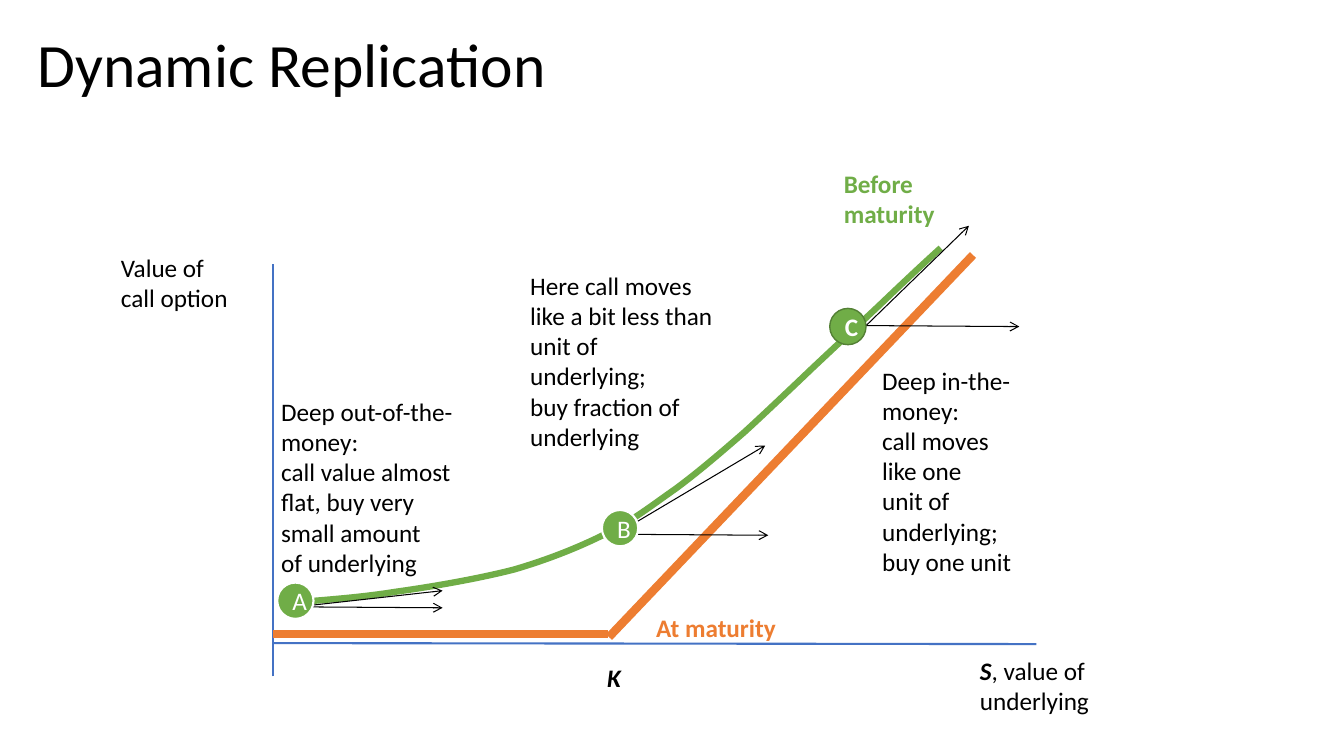
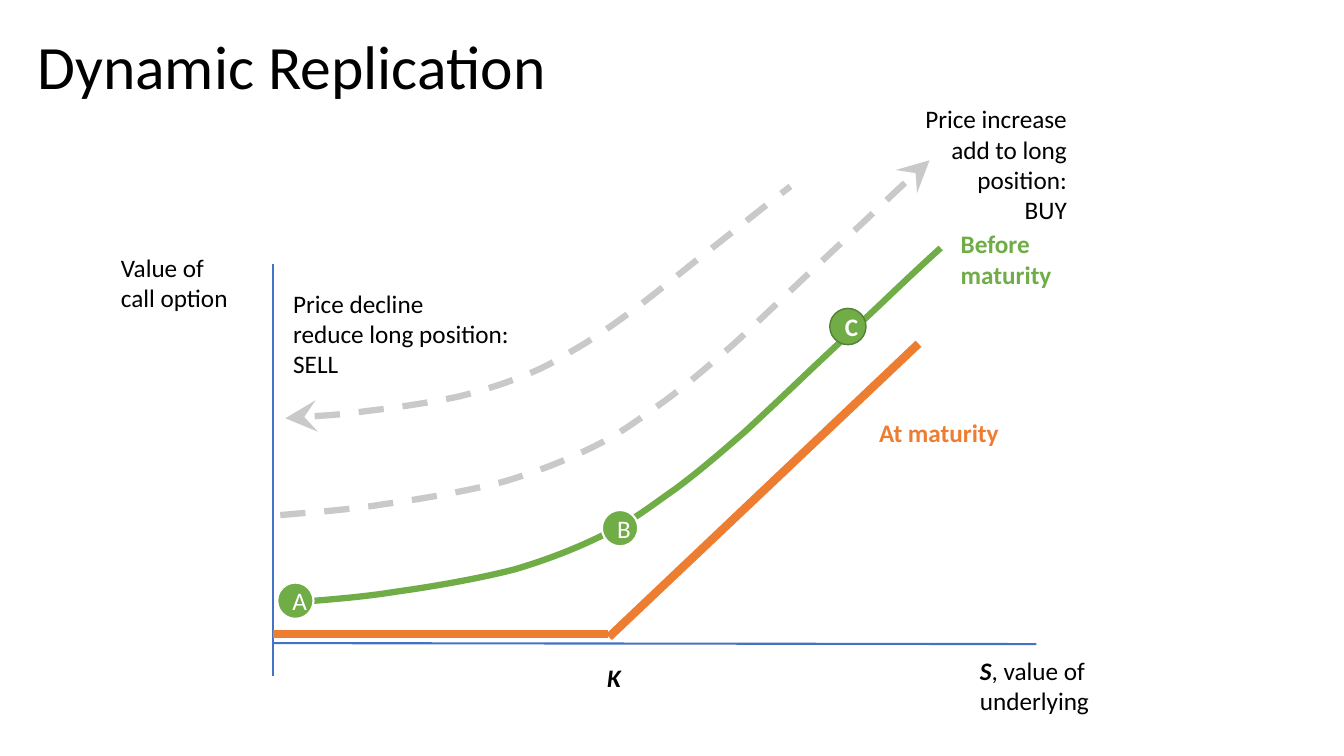
from lxml import etree
from pptx import Presentation
from pptx.dml.color import RGBColor
from pptx.enum import dml, shapes, text
from pptx.oxml.ns import qn
from pptx.util import Inches, Pt

HUES = {"ink": "000000", "paper": "FFFFFF", "axis": "4472C4", "pay": "ED7D31",
        "call": "70AD47", "rim": "538035", "path": "C9C9C9"}
FONT = "Calibri"
PLOT = (2.7, 2.6, 7.58, 3.78)  # left, top, width, height of the axes
SPAN = (6.44, 3.52)            # natural size of the call curve
START = (0, 3.52)
# Pieces of the curve: control points, if any, then the end point
BENDS = [
    ((0.33, 3.49), (0.67, 3.47), (1.04, 3.41)),
    ((1.4, 3.36), (1.86, 3.28), (2.21, 3.19)),
    ((2.55, 3.09), (2.85, 2.97), (3.11, 2.84)),
    ((3.38, 2.71), (3.58, 2.55), (3.81, 2.39)),
    ((4.04, 2.22), (4.26, 2.03), (4.49, 1.83)),
    ((4.71, 1.63), (5.17, 1.19), (5.17, 1.19)),
    ((5.82, 0.58),),
    ((6.03, 0.38), (6.23, 0.19), (6.44, 0)),
]


def hue(name):
    return RGBColor.from_string(HUES[name])


def write(frame, words, size=18, color="ink", bold=False, align="LEFT", lead=None):
    """Fill a frame, one paragraph a line; *starred* words are bold italic."""
    for i, row in enumerate(words.split("\n")):
        para = frame.paragraphs[0] if i == 0 else frame.add_paragraph()
        para.alignment = getattr(text.PP_ALIGN, align)
        para.line_spacing = lead
        for j, part in enumerate(row.split("*")):
            if part:
                run = para.add_run()
                run.text = part
                font = run.font
                font.name, font.size = FONT, Pt(size)
                font.color.rgb = hue(color)
                font.bold, font.italic = bold or j % 2 == 1, j % 2 == 1


def label(slide, base, spot, words, wrap=False, **style):
    x, y, w, h = spot
    box = slide.shapes.add_textbox(
        Inches(base[0] + x), Inches(base[1] + y), Inches(w), Inches(h))
    frame = box.text_frame
    frame.word_wrap = wrap
    frame.auto_size = text.MSO_AUTO_SIZE.SHAPE_TO_FIT_TEXT
    write(frame, words, **style)


def stroke(shape, color, width, head=None, tail=None, dash=None, size="med"):
    shape.line.color.rgb = hue(color)
    shape.line.width = Pt(width)
    if dash:
        shape.line.dash_style = dash
    line = shape._element.spPr.find(qn("a:ln"))
    for tag, kind in (("a:headEnd", head), ("a:tailEnd", tail)):
        if kind:
            etree.SubElement(line, qn(tag), type=kind, w=size, len=size)


def rule(slide, base, ends, color, width, **tips):
    x, y = base[:2]
    x1, y1, x2, y2 = ends
    line = slide.shapes.add_connector(
        shapes.MSO_CONNECTOR.STRAIGHT,
        Inches(x + x1), Inches(y + y1), Inches(x + x2), Inches(y + y2))
    stroke(line, color, width, **tips)
    etree.SubElement(line._element.spPr, qn("a:effectLst"))


def curve(slide, base, spot, color="call", **tips):
    """Draw the bends, scaled to the spot."""
    x, y, w, h = spot

    def fit(dot):
        return Inches(dot[0] * w / SPAN[0]), Inches(dot[1] * h / SPAN[1])

    pen = slide.shapes.build_freeform(*fit(START))
    pen.add_line_segments([fit(bend[-1]) for bend in BENDS], close=False)
    shape = pen.convert_to_shape(Inches(base[0] + x), Inches(base[1] + y))
    # Turn straight pieces into cubic ones
    for leg, bend in zip(list(shape._element.iter(qn("a:lnTo"))), BENDS):
        if len(bend) == 3:
            leg.tag = qn("a:cubicBezTo")
            for i, dot in enumerate(bend[:2]):
                px, py = fit(dot)
                leg.insert(i, leg.makeelement(qn("a:pt"), x=str(int(px)), y=str(int(py))))
    shape.shadow.inherit = False
    shape.fill.background()
    stroke(shape, color, 4.5, **tips)


def title(slide, top):
    head = slide.shapes.title
    head.left, head.top = Inches(0), Inches(top)
    head.width, head.height = Inches(11.5), Inches(1.29)
    frame = head.text_frame
    frame.margin_left = Inches(0.37)
    frame.vertical_anchor = text.MSO_ANCHOR.MIDDLE
    frame.auto_size = text.MSO_AUTO_SIZE.NONE
    write(frame, "Dynamic Replication", size=44, lead=0.9)


def plot(slide, box, end, due, early):
    """Axes, payoff up to end, call curve, and the two line names."""
    w, h = box[2:]
    rule(slide, box, (0.01, h, w, h + 0.01), "axis", 1.5)
    rule(slide, box, (0.01, h + 0.33, 0.01, 0.02), "axis", 1.5)
    label(slide, box, (-1.6, -0.15, 1.28, 0.71), "Value of\ncall option")
    rule(slide, box, (0.01, h - 0.09, 3.33, h - 0.09), "pay", 6)
    rule(slide, box, (3.34, h - 0.06, *end), "pay", 6)
    label(slide, box, (3.22, h + 0.14, 0.34, 0.4), "*K*", align="CENTER")
    label(slide, box, (6.92, h + 0.07, 1.31, 0.71), "*S*, value of\nunderlying")
    curve(slide, box, (0.19, -0.14, *SPAN))
    label(slide, box, (*due, 1.4, 0.4), "At maturity", color="pay", bold=True)
    label(slide, box, (*early, 1.11, 0.71), "Before\nmaturity", color="call", bold=True)


def marks(slide, box):
    """Lettered dots on the call curve."""
    for name, x, y, rim, width in (("C", 5.53, 0.46, "rim", 1),
                                   ("B", 3.27, 2.46, "paper", 1.5),
                                   ("A", 0.05, 3.18, "paper", 1.5)):
        dot = slide.shapes.add_shape(
            shapes.MSO_SHAPE.OVAL, Inches(box[0] + x), Inches(box[1] + y),
            Inches(0.36), Inches(0.36))
        dot.shadow.inherit = False
        dot.fill.solid()
        dot.fill.fore_color.rgb = hue("call")
        stroke(dot, rim, width)
        dot.text_frame.vertical_anchor = text.MSO_ANCHOR.MIDDLE
        write(dot.text_frame, name, color="paper", bold=name == "C", align="CENTER")


def slopes(slide, box):
    """Slope arrows and notes for each dot."""
    for ends in ((5.88, 0.63, 7.41, 0.64), (5.88, 0.64, 6.91, -0.36),
                 (0.16, 3.42, 1.69, 3.43), (0.16, 3.43, 1.69, 3.26),
                 (3.39, 2.7, 4.92, 2.71), (3.56, 2.61, 4.89, 1.82)):
        rule(slide, box, ends, "ink", 0.75, tail="arrow")
    label(slide, box, (5.95, 0.97, 1.49, 2.22),
          "Deep in-the-\nmoney:\ncall moves\nlike one\nunit of\nunderlying;\nbuy one unit")
    label(slide, box, (-0.01, 1.28, 1.96, 1.92),
          "Deep out-of-the-\nmoney:\ncall value almost\nflat, buy very\n"
          "small amount\nof underlying")
    label(slide, box, (2.46, 0.03, 2.15, 1.92),
          "Here call moves\nlike a bit less than\nunit of\nunderlying;\n"
          "buy fraction of underlying", wrap=True)


def trades(slide, box):
    """Dashed buy and sell paths with notes."""
    look = {"color": "path", "dash": dml.MSO_LINE.DASH, "size": "lg"}
    curve(slide, box, (0.08, -1.01, *SPAN), tail="stealth", **look)
    label(slide, box, (6.32, -1.62, 1.66, 1.31),
          "Price increase\nadd to long position:\nBUY", wrap=True, align="RIGHT")
    curve(slide, box, (0.13, -0.75, 5.01, 2.3), head="stealth", **look)
    label(slide, box, (0.11, 0.21, 2.37, 1.01),
          "Price decline\nreduce long position:\nSELL")


def main():
    deck = Presentation()
    deck.slide_width, deck.slide_height = Inches(13.33), Inches(7.5)
    bare = deck.slide_layouts[5]

    # Slopes at each dot
    slide = deck.slides.add_slide(bare)
    title(slide, 0.03)
    plot(slide, PLOT, end=(6.95, -0.07), due=(3.71, 3.43), early=(5.57, -0.98))
    slopes(slide, PLOT)
    marks(slide, PLOT)

    # Trades as the price moves
    slide = deck.slides.add_slide(bare)
    title(slide, 0.04)
    plot(slide, PLOT, end=(6.41, 0.81), due=(5.92, 1.49), early=(6.73, -0.38))
    marks(slide, PLOT)
    trades(slide, PLOT)

    deck.save("out.pptx")


if __name__ == "__main__":
    main()
